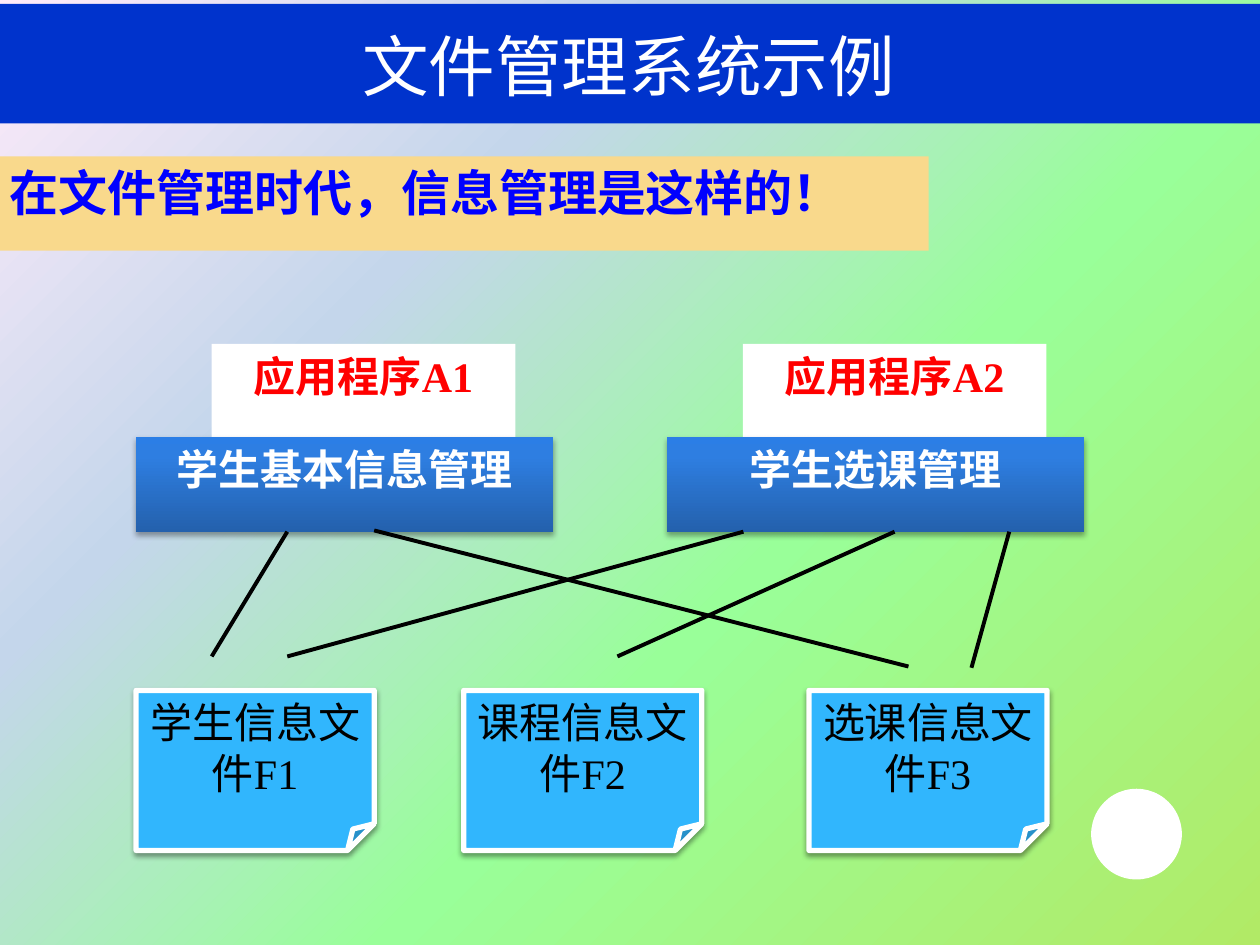
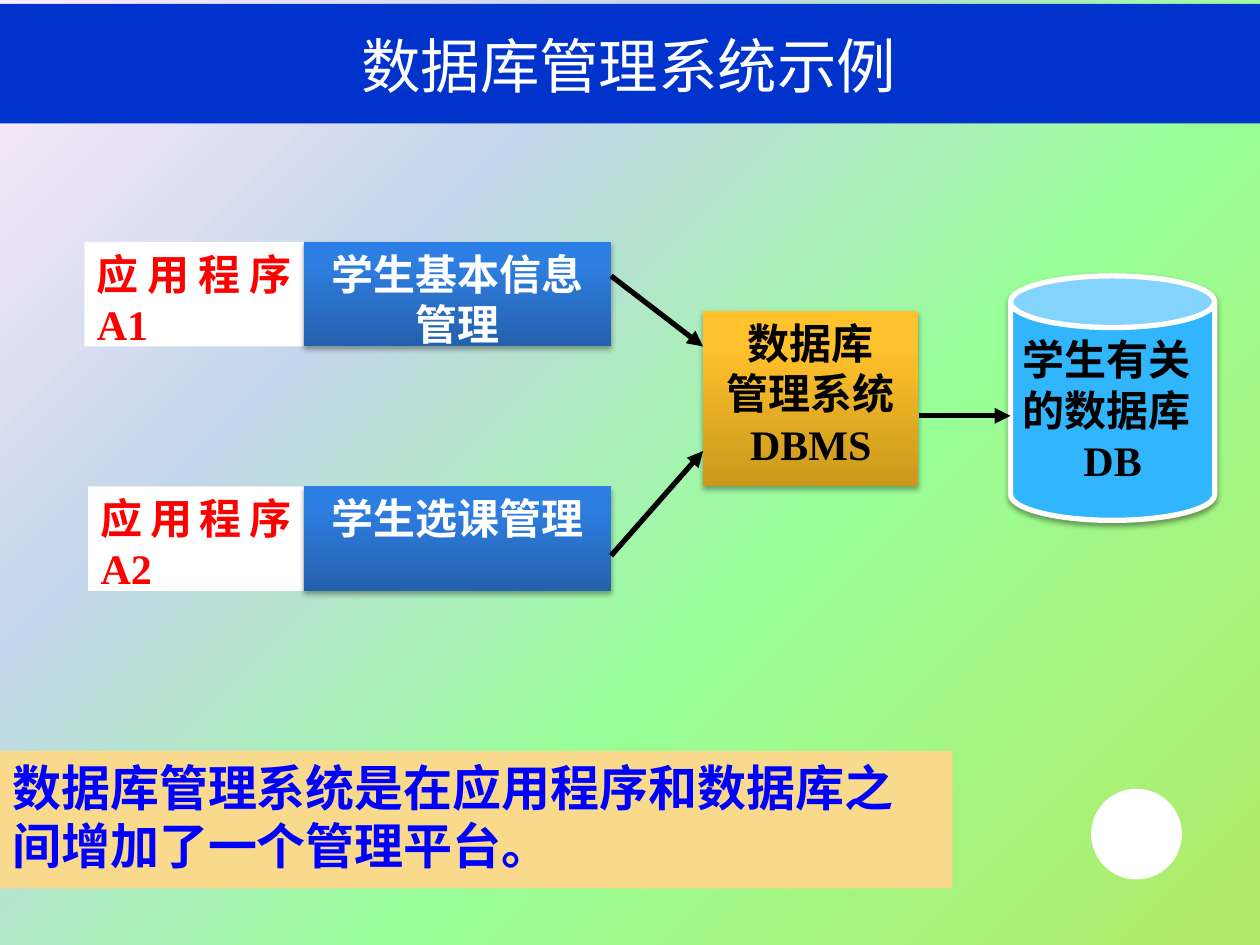
from lxml.etree import SubElement
from pptx import Presentation
from pptx.dml.color import RGBColor
from pptx.enum.shapes import MSO_CONNECTOR, MSO_SHAPE as Kind
from pptx.enum.text import MSO_ANCHOR as Anchor, PP_ALIGN as Align
from pptx.oxml.ns import qn
from pptx.util import Inches, Pt

COLORS = {
    "white": "FFFFFF", "black": "000000", "red": "FF0000", "blue": "0000FF",
    "band": "0033CC", "note": "F9D98C", "file": "31B6FD",
}
GRADIENTS = {
    "backdrop": [(0, "B1EA66"), (40, "99FF99"), (70, "C4D6EB"), (100, "FFEBFA")],
    "module": [(0, "2461AD"), (80, "2E7EE1"), (100, "2B7EE6")],
    "platform": [(0, "CB981B"), (80, "FFC12C"), (100, "FFC22E")],
}
SERIF, SANS = "Times New Roman", "Noto Sans CJK SC"

# The grid has 100 columns and 75 rows of square cells.
CELL = Inches(0.1)


def blend(fill, owner, name, angle):
    """Fill with a named gradient; the angle runs counter-clockwise."""
    fill.gradient()
    fill.gradient_angle = angle
    stops = owner.find(".//" + qn("a:gsLst"))
    stops.clear()
    for percent, color in GRADIENTS[name]:
        stop = SubElement(stops, qn("a:gs"), pos=str(percent * 1000))
        SubElement(stop, qn("a:srgbClr"), val=color)


def block(slide, kind, cells, fill, text="", color="white", size=24, font=SERIF,
          bold=True, align=Align.CENTER, anchor=Anchor.TOP, outline=False):
    """Add a filled shape at (column, row, columns, rows); None means no fill."""
    shape = slide.shapes.add_shape(kind, *(round(n * CELL) for n in cells))
    shape.shadow.inherit = False
    if fill in GRADIENTS:
        blend(shape.fill, shape._element, fill, 90)
    elif fill:
        shape.fill.solid()
        shape.fill.fore_color.rgb = RGBColor.from_string(COLORS[fill])
    else:
        shape.fill.background()
    if outline:
        shape.line.color.rgb = RGBColor.from_string(COLORS["white"])
        shape.line.width = Pt(3)
    else:
        shape.line.fill.background()

    if outline or fill in GRADIENTS:
        opacity, distance = (38, 1.6) if outline else (35, 1.8)
        effects = shape._element.spPr.find(qn("a:effectLst"))
        shadow = SubElement(effects, qn("a:outerShdw"), blurRad=str(Pt(3.1)),
                            dist=str(Pt(distance)), dir="5400000", rotWithShape="0")
        tint = SubElement(shadow, qn("a:srgbClr"), val=COLORS["black"])
        SubElement(tint, qn("a:alpha"), val=str(opacity * 1000))

    if text:
        frame = shape.text_frame
        frame.word_wrap = True
        frame.vertical_anchor = anchor
        frame.text = text
        for paragraph in frame.paragraphs:
            paragraph.alignment = align
            paragraph.font.size = Pt(size)
            paragraph.font.bold = bold
            paragraph.font.name = font
            paragraph.font.color.rgb = RGBColor.from_string(COLORS[color])
            latin = paragraph._p.find(".//" + qn("a:latin"))
            SubElement(latin.getparent(), qn("a:ea"), typeface=SANS)
    return shape


deck = Presentation()
deck.slide_width, deck.slide_height = 100 * CELL, 75 * CELL
slides = []
for title, size in (("文件管理系统示例", 38), ("数据库管理系统示例", 34)):
    slide = deck.slides.add_slide(deck.slide_layouts[6])
    blend(slide.background.fill, slide._element, "backdrop", 135)
    block(slide, Kind.OVAL, (86.6, 62.6, 7.2, 7.2), "white")
    block(slide, Kind.RECTANGLE, (-0.3, 0.3, 100.3, 9.5), "band")
    block(slide, Kind.RECTANGLE, (4.9, 1.3, 90, 7.7), None, title, size=size,
          font=SANS, bold=False, anchor=Anchor.MIDDLE)
    slides.append(slide)
file_system, database_system = slides

# File management: each program opens its own files.
for column, name in ((10.8, "学生信息文件F1"), (36.8, "课程信息文件F2"), (64.2, "选课信息文件F3")):
    block(file_system, Kind.FOLDED_CORNER, (column, 54.8, 18.9, 12.7), "file", name,
          "black", bold=False, outline=True)
block(file_system, Kind.RECTANGLE, (-0.2, 12.4, 73.9, 7.5), "note",
      "在文件管理时代，信息管理是这样的！", "blue", 28, SANS, align=Align.LEFT)
for column, program, module in ((10.8, "应用程序A1", "学生基本信息管理"),
                                (52.95, "应用程序A2", "学生选课管理")):
    block(file_system, Kind.RECTANGLE, (column + 6, 27.3, 24.1, 7.5), "white", program, "red")
    block(file_system, Kind.RECTANGLE, (column, 34.7, 33.1, 7.5), "module", module)

# Database management: the programs share one platform.
for row, column, program, module in ((19.2, 6.7, "应用程序A1", "学生基本信息管理"),
                                     (38.6, 7, "应用程序A2", "学生选课管理")):
    block(database_system, Kind.RECTANGLE, (column, row, 24.1 - column, 8.3), "white",
          program, "red", align=Align.JUSTIFY)
    block(database_system, Kind.RECTANGLE, (24.1, row, 24.4, 8.3), "module", module)
database = block(database_system, Kind.CAN, (80.2, 21.9, 16.2, 19.4), "file",
                 "学生有关的数据库\nDB", "black", outline=True)
database.adjustments[0] = 0.253
database.text_frame.paragraphs[0].alignment = Align.LEFT
block(database_system, Kind.RECTANGLE, (55.8, 24.7, 17.1, 13.9), "platform",
      "数据库\n管理系统\nDBMS", "black")
block(database_system, Kind.RECTANGLE, (0, 59.6, 75.6, 10.9), "note",
      "数据库管理系统是在应用程序和数据库之间增加了一个管理平台。", "blue", 28, SANS,
      align=Align.LEFT)

file_links = [
    (22.8, 42.2, 16.8, 52.1), (59, 42.2, 22.8, 52.1), (71, 42.2, 49, 52.1),
    (80.1, 42.2, 77.1, 53), (29.7, 42.1, 72.1, 52.9),
]
data_flows = [(48.5, 21.9, 55.8, 27.5), (48.5, 44.1, 55.8, 35.8), (72.9, 33, 80.2, 33)]
for slide, links, width, arrow in ((file_system, file_links, 2.25, False),
                                   (database_system, data_flows, 3, True)):
    for ends in links:
        link = slide.shapes.add_connector(MSO_CONNECTOR.STRAIGHT,
                                          *(round(n * CELL) for n in ends))
        link.line.color.rgb = RGBColor.from_string(COLORS["black"])
        link.line.width = Pt(width)
        if arrow:
            SubElement(link.line._get_or_add_ln(), qn("a:tailEnd"), type="triangle")
        SubElement(link._element.spPr, qn("a:effectLst"))

deck.save("out.pptx")
